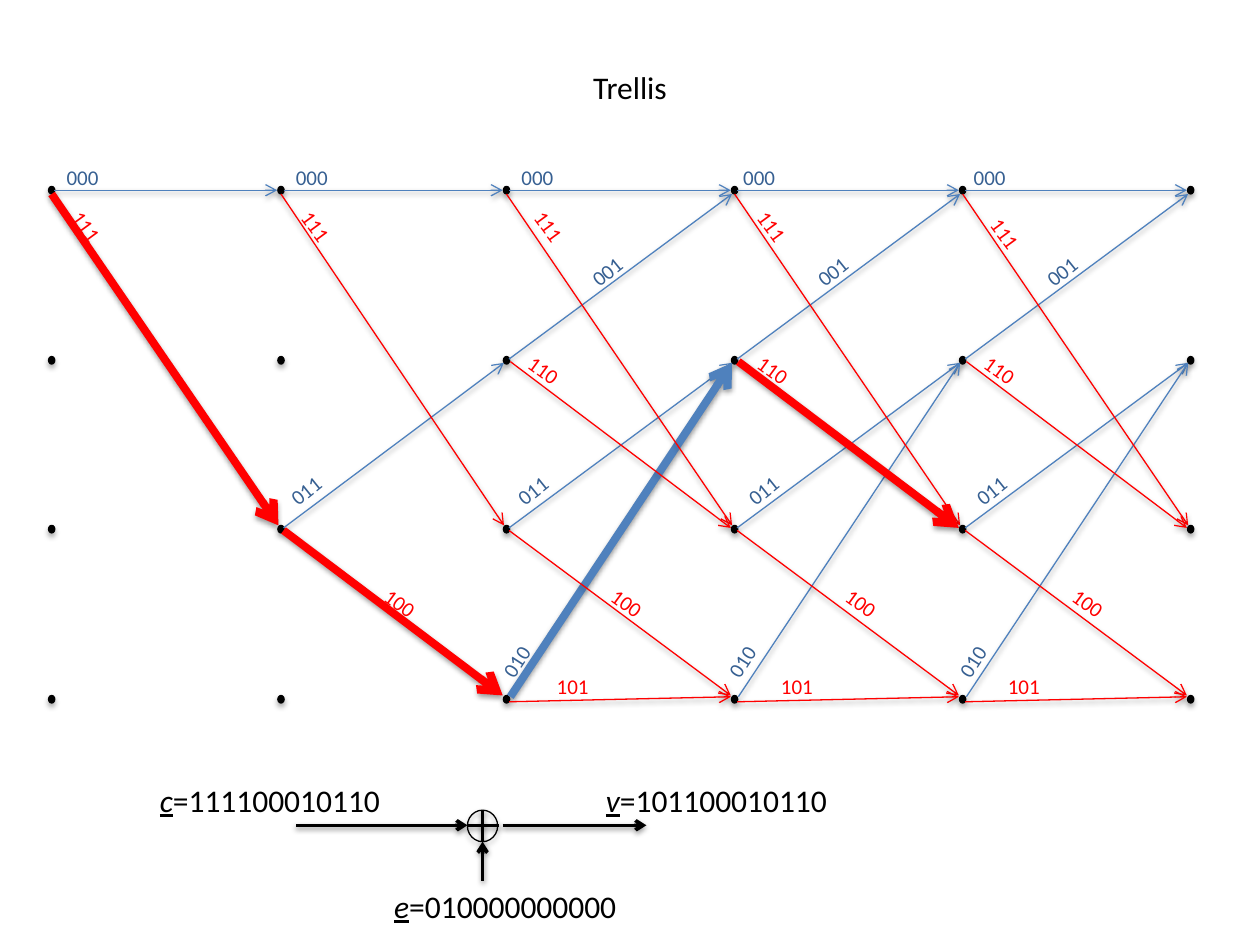
from dataclasses import dataclass

from lxml import etree
from pptx import Presentation
from pptx import util as u
from pptx.dml.color import RGBColor
from pptx.enum import shapes, text
from pptx.oxml.ns import qn


@dataclass(frozen=True)
class Theme:
    font: str = "Calibri"
    black: str = "000000"
    blue: str = "4F81BD"
    label_blue: str = "376092"
    red: str = "FF0000"
    label_size: int = 12
    body_size: int = 18
    thin: float = 0.75
    medium: float = 2
    heavy: float = 4.5


@dataclass(frozen=True)
class Branch:
    bits: str
    rows: tuple
    first_column: int
    start_gap: tuple
    end_gap: tuple
    label_lefts: tuple
    label_top: float
    rotation: float = 0

    @property
    def is_one(self):
        return self.rows[1] >= 2


THEME = Theme()
COLUMNS = (0.41, 2.23, 4.02, 5.83, 7.64, 9.45)
ROWS = (1.51, 2.86, 4.2, 5.55)
NODE_SIZE = (0.05, 0.06)
BRANCHES = (
    Branch("000", (0, 0), 0, (0.02, 0), (-0.03, 0), (0.43, 2.25, 4.04, 5.8, 7.63), 1.26),
    Branch("001", (1, 0), 2, (0.02, -0.01), (-0.02, 0.03), (4.59, 6.38, 8.2), 2, 321),
    Branch("011", (2, 1), 1, (0.02, -0.01), (-0.02, 0.02), (2.2, 4, 5.83, 7.64), 3.74, 321),
    Branch("010", (3, 1), 2, (0.03, -0.02), (-0.02, 0.02), (3.87, 5.66, 7.49), 5.1, 303),
    Branch("111", (0, 2), 0, (0, 0.03), (-0.02, -0.03), (0.46, 2.28, 4.13, 5.9, 7.75), 1.65, 53.8),
    Branch("110", (1, 2), 2, (0.03, 0.01), (-0.03, -0.01), (4.09, 5.91, 7.71), 2.79, 36.2),
    Branch("100", (2, 3), 1, (0.02, 0.01), (-0.03, -0.03), (2.95, 4.75, 6.61, 8.41), 4.64, 36.2),
    Branch("101", (3, 3), 2, (0.02, 0.02), (-0.03, -0.02), (4.32, 6.1, 7.9), 5.3),
)
CODE_PATH = {("111", 0), ("100", 1), ("010", 2), ("110", 3)}
LABEL_DROP = {("111", 4): 0.06}


def add_shadow(shape, opacity, distance):
    effects = etree.SubElement(shape._element.spPr, qn("a:effectLst"))
    shadow = etree.SubElement(
        effects, qn("a:outerShdw"), blurRad=str(u.Pt(3.1)), dist=str(u.Pt(distance)),
        dir="5400000", rotWithShape="0")
    color = etree.SubElement(shadow, qn("a:srgbClr"), val=THEME.black)
    etree.SubElement(color, qn("a:alpha"), val=str(opacity * 1000))


def add_line(parent, start, end, color, width, arrow=True):
    points = [u.Inches(value) for value in (*start, *end)]
    line = parent.shapes.add_connector(shapes.MSO_CONNECTOR.STRAIGHT, *points)
    line.line.color.rgb = RGBColor.from_string(color)
    line.line.width = u.Pt(width)
    if arrow:
        etree.SubElement(line.line._get_or_add_ln(), qn("a:tailEnd"), type="arrow")
    add_shadow(line, 38, 1.6)


def add_ellipse(parent, left, top, width, height, filled=True):
    box = [u.Inches(value) for value in (left, top, width, height)]
    ellipse = parent.shapes.add_shape(shapes.MSO_SHAPE.OVAL, *box)
    if filled:
        ellipse.fill.solid()
        ellipse.fill.fore_color.rgb = RGBColor.from_string(THEME.black)
    else:
        ellipse.fill.background()
    ellipse.line.color.rgb = RGBColor.from_string(THEME.black)
    ellipse.line.width = u.Pt(THEME.thin)
    add_shadow(ellipse, 35, 1.8)


def add_text(slide, box, runs, size, color, rotation=0):
    shape = slide.shapes.add_textbox(*[u.Inches(value) for value in box])
    shape.rotation = rotation
    frame = shape.text_frame
    frame.word_wrap = False
    frame.auto_size = text.MSO_AUTO_SIZE.SHAPE_TO_FIT_TEXT
    paragraph = frame.paragraphs[0]
    for content, is_symbol in runs:
        run = paragraph.add_run()
        run.text = content
        run.font.name = THEME.font
        run.font.size = u.Pt(size)
        run.font.color.rgb = RGBColor.from_string(color)
        run.font.italic = is_symbol
        run.font.underline = is_symbol


def add_nodes(slide):
    width, height = NODE_SIZE
    for x in COLUMNS:
        for y in ROWS:
            add_ellipse(slide, x - width / 2, y - height / 2, width, height)


def add_branch_lines(slide, branch):
    color = THEME.red if branch.is_one else THEME.blue
    start_row, end_row = branch.rows
    for column in range(branch.first_column, len(COLUMNS) - 1):
        start = (COLUMNS[column] + branch.start_gap[0], ROWS[start_row] + branch.start_gap[1])
        end = (COLUMNS[column + 1] + branch.end_gap[0], ROWS[end_row] + branch.end_gap[1])
        on_path = (branch.bits, column) in CODE_PATH
        add_line(slide, start, end, color, THEME.heavy if on_path else THEME.thin)


def add_branch_labels(slide, branch):
    color = THEME.red if branch.is_one else THEME.label_blue
    for column, left in enumerate(branch.label_lefts, branch.first_column):
        top = branch.label_top + LABEL_DROP.get((branch.bits, column), 0)
        add_text(slide, (left, top, 0.46, 0.3), [(branch.bits, None)],
                 THEME.label_size, color, branch.rotation)


def add_channel(slide):
    adder = slide.shapes.add_group_shape()
    add_line(adder, (3.71, 6.55), (3.96, 6.55), THEME.black, THEME.medium, arrow=False)
    add_line(adder, (3.83, 6.43), (3.83, 6.68), THEME.black, THEME.medium, arrow=False)
    add_ellipse(adder, 3.71, 6.43, 0.24, 0.25, filled=False)
    for start, end in (
        ((2.35, 6.55), (3.71, 6.55)),
        ((3.83, 6.99), (3.83, 6.68)),
        ((3.99, 6.55), (5.13, 6.55)),
    ):
        add_line(slide, start, end, THEME.black, THEME.medium)
    for symbol, bits, left, top in (
        ("c", "111100010110", 1.17, 6.15),
        ("e", "010000000000", 3.03, 6.99),
        ("v", "101100010110", 4.71, 6.15),
    ):
        add_text(slide, (left, top, 1.99, 0.4), [(symbol, True), ("=" + bits, None)],
                 THEME.body_size, THEME.black)


def main():
    presentation = Presentation()
    presentation.slide_width = u.Inches(10)
    presentation.slide_height = u.Inches(7.5)
    slide = presentation.slides.add_slide(presentation.slide_layouts[6])
    add_nodes(slide)
    for branch in BRANCHES:
        add_branch_lines(slide, branch)
    for branch in BRANCHES:
        add_branch_labels(slide, branch)
    add_channel(slide)
    add_text(slide, (4.61, 0.49, 0.79, 0.4), [("Trellis", None)],
             THEME.body_size, THEME.black)
    presentation.save("out.pptx")


main()
